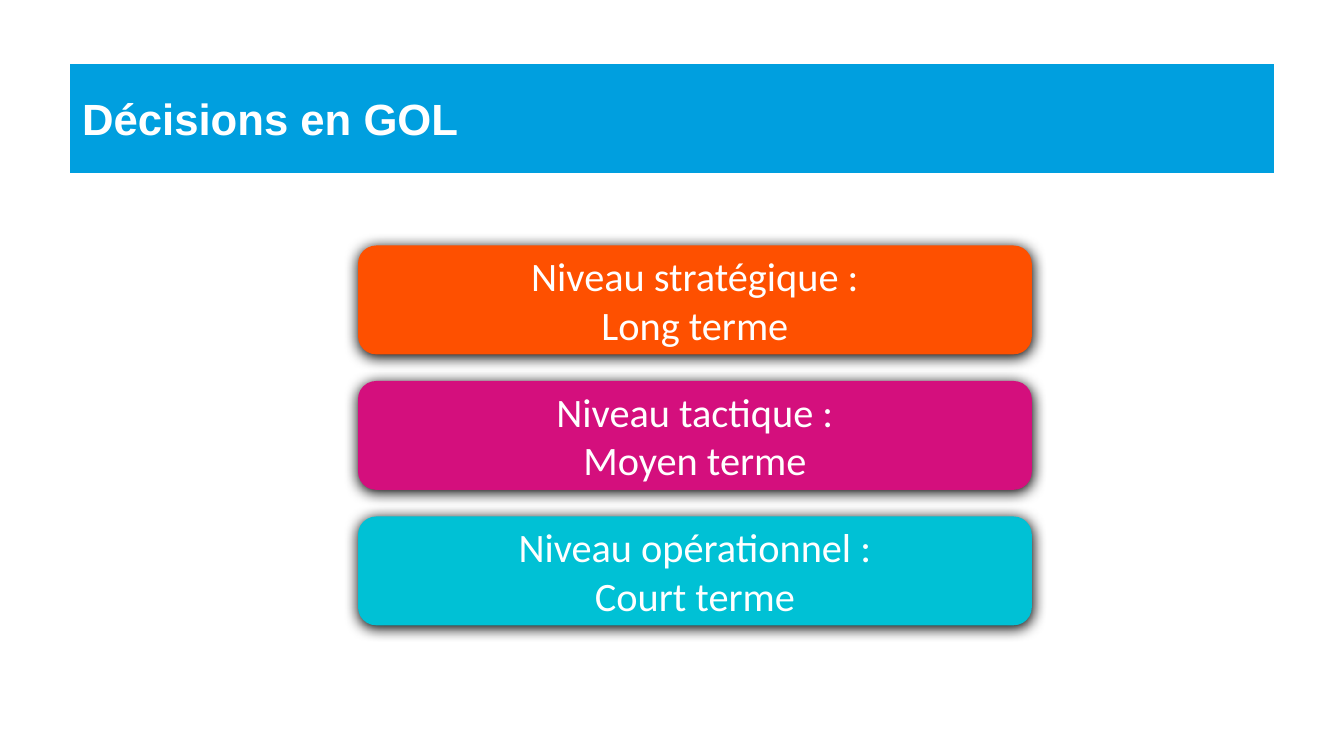
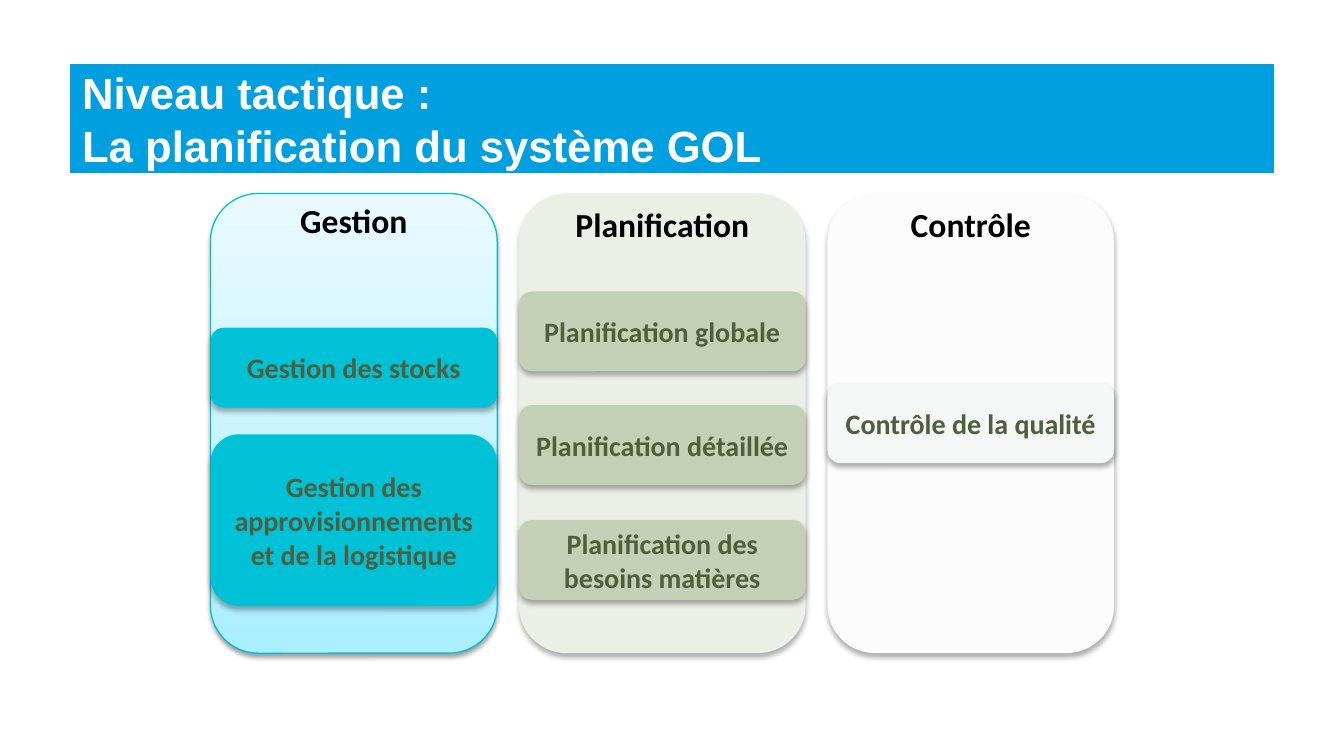
from copy import deepcopy

from lxml import etree
from pptx import Presentation
from pptx.dml.color import RGBColor
from pptx.enum import shapes, text
from pptx.oxml.ns import qn
from pptx.util import Inches, Pt

COLORS = {
    "band": "009FDF", "white": "FFFFFF", "black": "000000", "olive": "4F5E3C",
    "orange": "FE5000", "magenta": "D40F7D", "cyan": "00C1D5",
    "cyan_line": "00BDD0", "sage": "C4D0B5", "sage_pale": "EBEFE6",
    "mist": "F5F6F6", "mist_pale": "FCFCFC",
}
CYAN_FADE = [(0, "A9EFFF"), (0.35, "C2F4FF"), (1, "E8FAFF")]
GLOW = {"alpha": 100, "blur": 8.5, "dist": 1}
DROP = {"alpha": 32, "blur": 3.5, "dist": 2.2}
DROP_WIDE = {"alpha": 38, "blur": 3.1, "dist": 1.6}

LEVELS = [
    ("Niveau stratégique :\nLong terme", "orange"),
    ("Niveau tactique :\nMoyen terme", "magenta"),
    ("Niveau opérationnel :\nCourt terme", "cyan"),
]
COLUMNS = [
    {"heading": "Gestion", "rise": 0.03, "fill": CYAN_FADE, "card": "cyan",
     "line": "cyan_line", "shadow": DROP_WIDE,
     "cards": [("Gestion des stocks", 1.11, 0.66),
               ("Gestion des approvisionnements et de la logistique", 1.99, 1.42)]},
    {"heading": "Planification", "fill": "sage_pale", "card": "sage",
     "cards": [("Planification globale", 0.81, 0.66),
               ("Planification détaillée", 1.75, 0.66),
               ("Planification des besoins matières", 2.7, 0.66)]},
    {"heading": "Contrôle", "fill": "mist_pale", "card": "mist",
     "cards": [("Contrôle de la qualité", 1.57, 0.66)]},
]


def rgb(name):
    """Return the palette colour, or the hex string itself."""
    return RGBColor.from_string(COLORS.get(name, name))


def write(shape, words, size, color, font="Calibri", bold=False, align="CENTER", inset=0.1):
    """Write one paragraph per line, centred vertically."""
    frame = shape.text_frame
    frame.word_wrap = True
    frame.vertical_anchor = text.MSO_ANCHOR.MIDDLE
    frame.margin_left = frame.margin_right = Inches(inset)
    frame.margin_top = frame.margin_bottom = 0
    frame.text = words
    for paragraph in frame.paragraphs:
        paragraph.alignment = text.PP_ALIGN[align]
        paragraph.font.name = font
        paragraph.font.size = Pt(size)
        paragraph.font.bold = bold
        paragraph.font.color.rgb = rgb(color)


def cast_shadow(shape, alpha, blur, dist):
    """Give the shape a black shadow falling straight down."""
    shape.shadow.inherit = False
    effects = shape._element.spPr.find(qn("a:effectLst"))
    outer = etree.SubElement(effects, qn("a:outerShdw"), blurRad=str(Pt(blur)),
                             dist=str(Pt(dist)), dir="5400000", rotWithShape="0")
    black = etree.SubElement(outer, qn("a:srgbClr"), val=COLORS["black"])
    etree.SubElement(black, qn("a:alpha"), val=str(alpha * 1000))


def fade(shape, stops):
    """Fill with a three-stop gradient that runs from bottom to top."""
    shape.fill.gradient()
    shape.fill.gradient_angle = 90
    stop_list = shape._element.spPr.find(".//" + qn("a:gsLst"))
    stop_list.insert(1, deepcopy(stop_list[0]))
    for stop, (position, color) in zip(shape.fill.gradient_stops, stops):
        stop.position = position
        stop.color.rgb = rgb(color)


def add_panel(slide, box, fill, kind="ROUNDED_RECTANGLE", line=None, shadow=None):
    """Add a filled panel at box (left, top, width, height)."""
    panel = slide.shapes.add_shape(shapes.MSO_SHAPE[kind], *map(Inches, box))
    panel.shadow.inherit = False
    if isinstance(fill, list):
        fade(panel, fill)
    else:
        panel.fill.solid()
        panel.fill.fore_color.rgb = rgb(fill)
    if line:
        panel.line.color.rgb = rgb(line)
        panel.line.width = Pt(0.75)
    else:
        panel.line.fill.background()
    if shadow:
        cast_shadow(panel, **shadow)
    return panel


def add_titled_slide(deck, title):
    """Add a blank slide with the title band."""
    slide = deck.slides.add_slide(deck.slide_layouts[6])
    band = add_panel(slide, (0.58, 0.53, 9.95, 0.9), "band", kind="RECTANGLE")
    write(band, title, 26, "white", font="Arial", bold=True, align="LEFT")
    return slide


def add_levels(slide, box, height=0.9):
    """Stack the decision levels evenly in the box."""
    left, top, width, total = box
    step = (total - height) / (len(LEVELS) - 1)
    for i, (words, color) in enumerate(LEVELS):
        level = add_panel(slide, (left, top + i * step, width, height), color, shadow=GLOW)
        write(level, words, 24, "white")


def add_column(slide, box, column):
    """Add a column with its heading and cards."""
    left, top, width, _ = box
    add_panel(slide, box, column["fill"], line=column.get("line"),
              shadow=column.get("shadow", DROP))
    heading_top = top + 0.05 - column.get("rise", 0)
    heading = slide.shapes.add_textbox(*map(Inches, (left, heading_top, width, 0.4)))
    write(heading, column["heading"], 20, "black", bold=True)
    for words, offset, height in column["cards"]:
        card = add_panel(slide, (left, top + offset, width, height), column["card"], shadow=DROP)
        write(card, words, 16.7, "olive", bold=True, inset=0.08)


def add_columns(slide, box, gap=0.18):
    """Share the box between equal columns."""
    left, top, total, height = box
    width = (total - gap * (len(COLUMNS) - 1)) / len(COLUMNS)
    for i, column in enumerate(COLUMNS):
        add_column(slide, (left + i * (width + gap), top, width, height), column)


def main():
    """Build and save the deck."""
    deck = Presentation()
    deck.slide_width, deck.slide_height = Inches(11.11), Inches(6.25)
    add_levels(add_titled_slide(deck, "Décisions en GOL"), (2.96, 2.03, 5.57, 3.14))
    tactical = add_titled_slide(deck, "Niveau tactique :\nLa planification du système GOL")
    add_columns(tactical, (1.74, 1.6, 7.47, 3.8))
    deck.save("out.pptx")


if __name__ == "__main__":
    main()
